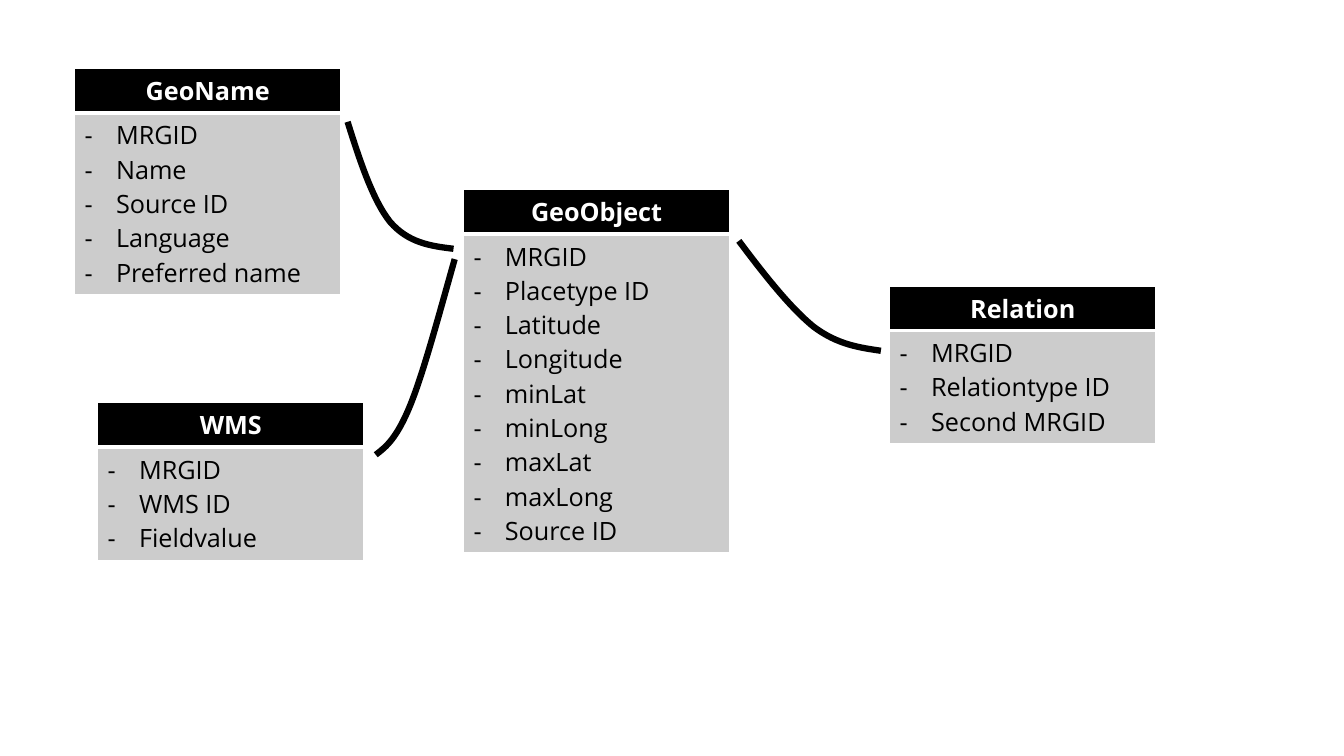
from dataclasses import dataclass

from lxml import etree
from pptx import Presentation
from pptx.dml.color import RGBColor
from pptx.enum import text
from pptx.oxml import ns
from pptx.util import Cm, Pt


@dataclass(frozen=True)
class Theme:
    font: str = "Open Sans"
    size: Pt = Pt(18)
    black: RGBColor = RGBColor(0x00, 0x00, 0x00)
    white: RGBColor = RGBColor(0xFF, 0xFF, 0xFF)
    grey: RGBColor = RGBColor(0xCC, 0xCC, 0xCC)
    thin: Pt = Pt(1)
    thick: Pt = Pt(3)
    link: Pt = Pt(4.5)


theme = Theme()

table_width = Cm(6.71)
header_height = Cm(1.02)
field_height = Cm(0.77)
cell_padding = Cm(0.25)
bullet_indent = Cm(0.79)

entities = [
    ("GeoObject", 11.68, 4.78,
     ["MRGID", "Placetype ID", "Latitude", "Longitude", "minLat",
      "minLong", "maxLat", "maxLong", "Source ID"]),
    ("GeoName", 1.88, 1.73,
     ["MRGID", "Name", "Source ID", "Language", "Preferred name"]),
    ("WMS", 2.46, 10.15, ["MRGID", "WMS ID", "Fieldvalue"]),
    ("Relation", 22.42, 7.21, ["MRGID", "Relationtype ID", "Second MRGID"]),
]

links = [
    [(8.76, 3.07), (9.07, 4.06), (9.4, 5.05), (9.83, 5.59),
     (10.29, 6.12), (10.85, 6.2), (11.43, 6.27)],
    [(11.46, 6.53), (11.05, 7.98), (10.67, 9.4), (10.34, 10.21),
     (10.01, 11.02), (9.75, 11.25), (9.47, 11.46)],
    [(18.62, 6.07), (19.25, 6.91), (19.91, 7.75), (20.5, 8.23),
     (21.11, 8.69), (21.67, 8.76), (22.2, 8.84)],
]


def style_cell(cell, fill, top, bottom):
    properties = cell._tc.get_or_add_tcPr()
    sides = {"lnL": theme.thin, "lnR": theme.thin, "lnT": top, "lnB": bottom}
    for side, width in sides.items():
        border = etree.SubElement(properties, ns.qn(f"a:{side}"), w=str(width))
        solid = etree.SubElement(border, ns.qn("a:solidFill"))
        etree.SubElement(solid, ns.qn("a:srgbClr"), val=str(theme.white))
    cell.fill.solid()
    cell.fill.fore_color.rgb = fill


def style_font(paragraph, color, bold):
    paragraph.font.name = theme.font
    paragraph.font.size = theme.size
    paragraph.font.bold = bold
    paragraph.font.color.rgb = color


presentation = Presentation()
presentation.slide_width = Cm(33.87)
presentation.slide_height = Cm(19.05)
slide = presentation.slides.add_slide(presentation.slide_layouts[6])

for name, left, top, fields in entities:
    body_height = field_height * len(fields) + cell_padding
    table = slide.shapes.add_table(
        2, 1, Cm(left), Cm(top), table_width, header_height + body_height).table
    table.horz_banding = False
    table.rows[0].height = header_height
    table.rows[1].height = body_height
    header, body = table.cell(0, 0), table.cell(1, 0)

    style_cell(header, theme.black, theme.thin, theme.thick)
    header.text = name
    title = header.text_frame.paragraphs[0]
    title.alignment = text.PP_ALIGN.CENTER
    style_font(title, theme.white, True)

    style_cell(body, theme.grey, theme.thick, theme.thin)
    body.text = "\n".join(fields)
    for paragraph in body.text_frame.paragraphs:
        properties = paragraph._p.get_or_add_pPr()
        properties.set("marL", str(bullet_indent))
        properties.set("indent", str(-bullet_indent))
        etree.SubElement(properties, ns.qn("a:buFont"), typeface=theme.font)
        etree.SubElement(properties, ns.qn("a:buChar"), char="-")
        style_font(paragraph, theme.black, False)

for points in links:
    start, *controls = [(Cm(x), Cm(y)) for x, y in points]
    builder = slide.shapes.build_freeform(*start)
    builder.add_line_segments(controls, close=False)
    shape = builder.convert_to_shape()
    shape.shadow.inherit = False
    shape.fill.background()
    shape.line.color.rgb = theme.black
    shape.line.width = theme.link

    outline = shape.element.find(".//" + ns.qn("a:path"))
    segments = outline.findall(ns.qn("a:lnTo"))
    for first in range(0, len(segments), 3):
        curve = etree.SubElement(outline, ns.qn("a:cubicBezTo"))
        for segment in segments[first:first + 3]:
            curve.append(segment[0])
            outline.remove(segment)

presentation.save("out.pptx")
